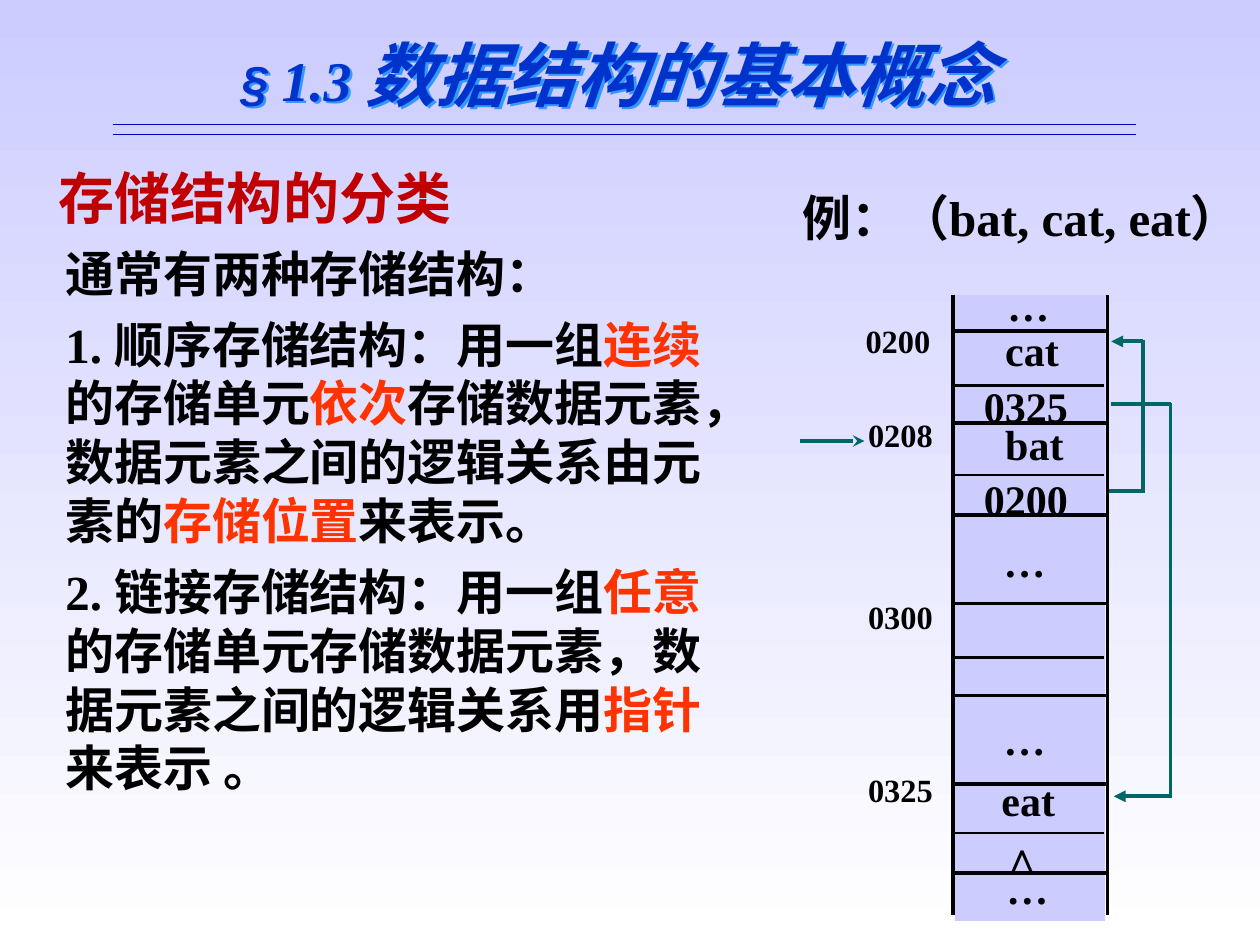
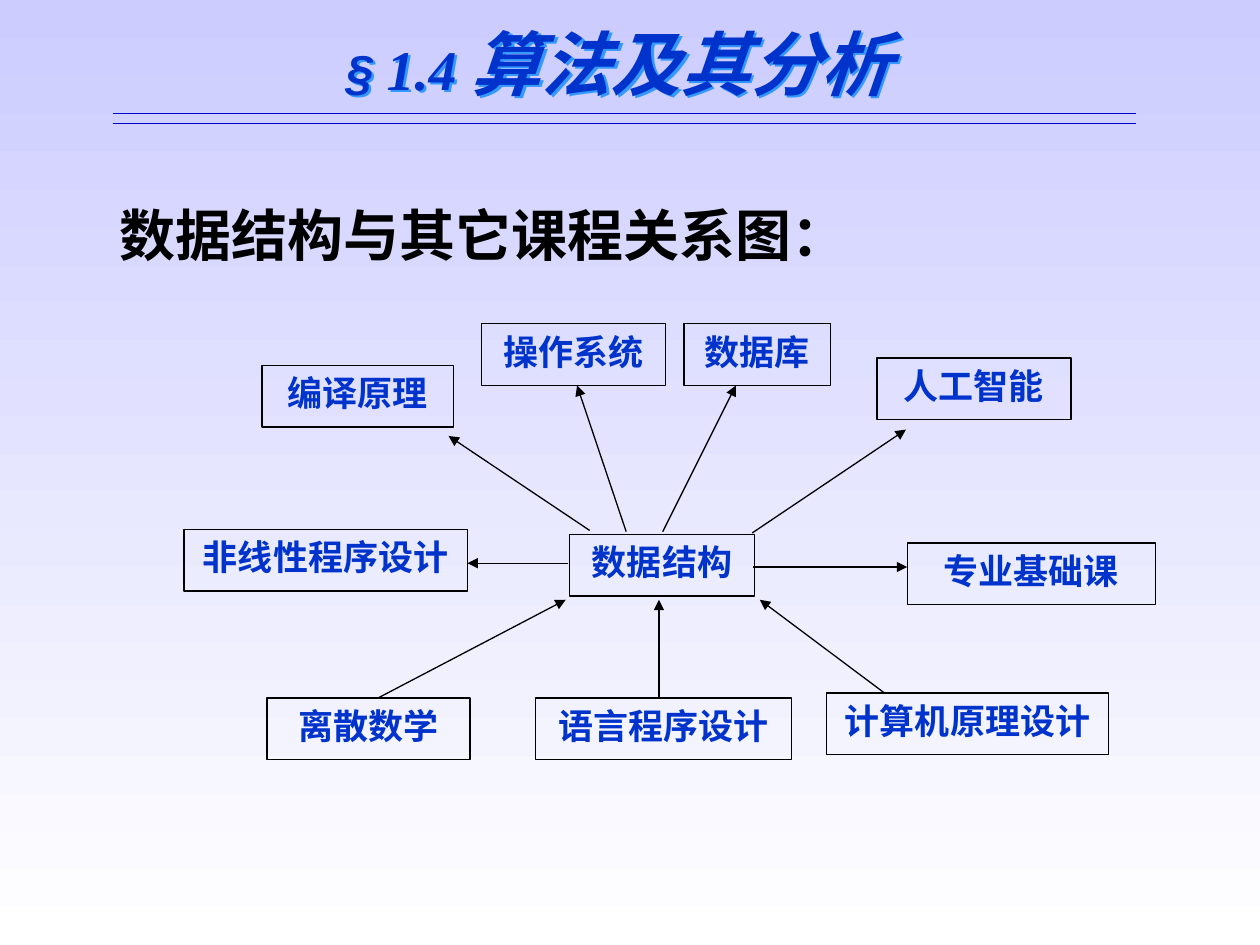
from dataclasses import dataclass
from typing import NamedTuple, Optional

from lxml import etree
from pptx import Presentation
from pptx.dml.color import RGBColor
from pptx.enum.shapes import MSO_CONNECTOR, MSO_SHAPE
from pptx.enum.text import MSO_ANCHOR, MSO_AUTO_SIZE, PP_ALIGN
from pptx.oxml import parse_xml
from pptx.oxml.ns import nsdecls, qn
from pptx.util import Inches, Pt

STRAIGHT, RECT = MSO_CONNECTOR.STRAIGHT, MSO_SHAPE.RECTANGLE
TOP, NO_FIT = MSO_ANCHOR.TOP, MSO_AUTO_SIZE.NONE
LEFT, CENTER, JUSTIFY = PP_ALIGN.LEFT, PP_ALIGN.CENTER, PP_ALIGN.JUSTIFY

COLORS = {
    "bg_top": "CCCCFF", "bg_bottom": "FFFFFF", "title": "0033CC", "shadow": "3399FF",
    "rule": "0000CC", "black": "000000", "heading": "C00000", "accent": "FF3300",
    "pointer": "006666", "memory": "CCCCFF",
}
SERIF, SANS, CJK = "Times New Roman", "Arial", "Noto Sans CJK SC"
CJK_LEADING = 1.2


class Run(NamedTuple):
    text: str
    size: float = 28
    color: str = "black"
    font: str = SERIF
    bold: bool = True
    italic: bool = False


@dataclass
class Para:
    runs: list[Run]
    align: PP_ALIGN = LEFT
    spacing: Optional[float] = None   # a multiple of the line; None means fixed CJK leading
    before: float = 0
    margin: float = 0
    indent: float = 0


class Box(NamedTuple):
    left: float
    top: float
    width: float
    height: float


class Line(NamedTuple):
    x1: float
    y1: float
    x2: float
    y2: float
    color: str = "black"
    width: float = 0.75
    arrow: str = ""


def rgb(name: str) -> RGBColor:
    return RGBColor.from_string(COLORS[name])


# Shared drawing functions
def write(sp, paras: list[Para], inset: float = 1) -> None:
    tf = sp.text_frame
    frame_format = {
        "word_wrap": True, "auto_size": NO_FIT, "vertical_anchor": TOP,
        "margin_left": Inches(0.1 * inset), "margin_right": Inches(0.1 * inset),
        "margin_top": Inches(0.05 * inset), "margin_bottom": Inches(0.05 * inset),
    }
    for name, value in frame_format.items():
        setattr(tf, name, value)
    for i, para in enumerate(paras):
        p = tf.add_paragraph() if i else tf.paragraphs[0]
        leading = Pt(CJK_LEADING * max(run.size for run in para.runs))
        para_format = {"alignment": para.align, "space_before": Pt(para.before),
                       "line_spacing": para.spacing or leading}
        for name, value in para_format.items():
            setattr(p, name, value)
        pPr = p._p.get_or_add_pPr()
        pPr.set("marL", str(Inches(para.margin)))
        pPr.set("indent", str(Inches(para.indent)))
        for run in para.runs:
            r = p.add_run()
            r.text = run.text
            font_format = {"name": run.font, "size": Pt(run.size),
                           "bold": run.bold, "italic": run.italic}
            for name, value in font_format.items():
                setattr(r.font, name, value)
            r.font.color.rgb = rgb(run.color)
            ea = etree.SubElement(r.font._element, qn("a:ea"))
            ea.set("typeface", CJK)


def add_text(slide, box: Box, paras: list[Para], inset: float = 1) -> None:
    write(slide.shapes.add_textbox(*map(Inches, box)), paras, inset)


def add_rect(slide, box: Box, fill: str = "", line: str = ""):
    sp = slide.shapes.add_shape(RECT, *map(Inches, box))
    sp.shadow.inherit = False
    if fill:
        sp.fill.solid()
        sp.fill.fore_color.rgb = rgb(fill)
    else:
        sp.fill.background()
    if line:
        sp.line.color.rgb = rgb(line)
        sp.line.width = Pt(0.75)
    else:
        sp.line.fill.background()
    return sp


def add_line(slide, line: Line) -> None:
    c = slide.shapes.add_connector(STRAIGHT, *map(Inches, line[:4]))
    c.line.color.rgb = rgb(line.color)
    c.line.width = Pt(line.width)
    if line.arrow:
        etree.SubElement(c.line._get_or_add_ln(), qn("a:tailEnd")).set("type", line.arrow)
    etree.SubElement(c._element.spPr, qn("a:effectLst"))


def set_background(prs) -> None:
    fill = prs.slide_master.background.fill
    fill.gradient()
    fill.gradient_angle = 270
    for stop, name, place in zip(fill.gradient_stops, ("bg_top", "bg_bottom"), (0, 1)):
        stop.color.rgb = rgb(name)
        stop.position = place


def add_titled_slide(prs, number: str, title: str, top: float):
    slide = prs.slides.add_slide(prs.slide_layouts[5])
    sp = slide.shapes.title
    place = dict(zip(("left", "top", "width", "height"), Box(1.52, top, 6.77, 0.77)))
    for name, value in place.items():
        setattr(sp, name, Inches(value))
    write(sp, [Para([
        Run("§ ", 28, "title", SANS, italic=True),
        Run(f"{number} ", 32, "title", italic=True),
        Run(title, 40, "title", italic=True),
    ], CENTER)])
    sp._element.spPr.append(parse_xml(
        f'<a:effectLst {nsdecls("a")}><a:outerShdw dist="25400" dir="2700000">'
        f'<a:srgbClr val="{COLORS["shadow"]}"/></a:outerShdw></a:effectLst>'))
    for gap in (0.79, 0.87):
        add_line(slide, Line(0.9, top + gap, 9.02, top + gap, "rule"))
    return slide


# Slide 1: storage structures
def storage_text(slide) -> None:
    def marked(*texts: str) -> Para:
        """Every second piece of text is accented."""
        return Para([Run(t, color="accent" if i % 2 else "black")
                     for i, t in enumerate(texts)], before=7)

    add_text(slide, Box(0.42, 1.88, 5.51, 4.58), [
        Para([Run("通常有两种存储结构：")]),
        marked("1. 顺序存储结构：用一组", "连续", "的存储单元", "依次",
               "存储数据元素，数据元素之间的逻辑关系由元素的", "存储位置", "来表示。"),
        marked("2. 链接存储结构：用一组", "任意",
               "的存储单元存储数据元素，数据元素之间的逻辑关系用", "指针", "来表示 。"),
    ])
    add_text(slide, Box(6.27, 1.44, 3.73, 1.04), [Para([Run("例：（bat, cat, eat）")])])
    add_text(slide, Box(0.37, 1.25, 5.76, 0.64),
             [Para([Run("存储结构的分类", 32, "heading")])])


def memory_diagram(slide) -> None:
    left, right = 7.56, 8.79
    add_rect(slide, Box(7.58, 2.34, 1.19, 4.97), fill="memory")
    for x in (left, right):
        add_line(slide, Line(x, 2.34, x, 7.26, width=2.25))

    # Addresses, gaps and cell borders
    for text, x, y in (("0200", 6.87, 2.63), ("0208", 6.89, 3.38),
                       ("0300", 6.89, 4.82), ("0325", 6.89, 6.2)):
        add_text(slide, Box(x, y, 0.6, 0.23),
                 [Para([Run(text, 18.5)], JUSTIFY, 0.7)], inset=0)
    for x, y in ((7.91, 2.13), (7.88, 4.16), (7.88, 5.57), (7.9, 6.76)):
        add_text(slide, Box(x, y, 0.56, 0.54),
                 [Para([Run("…", 24, italic=True)], spacing=1.1)])
    for y in (2.63, 3.36, 4.09, 4.79, 5.52, 6.22, 6.93):
        add_line(slide, Line(7.58, y, right, y, width=2.25))
    for y in (3.06, 3.77, 5.22, 6.61):
        add_line(slide, Line(left, y, 8.76, y, width=1.5))

    # Pointers: the head arrow and the two links
    add_line(slide, Line(6.35, 3.5, 6.86, 3.5, "pointer", 2.25, "stealth"))
    for start, y1, bend, y2, end in ((8.8, 3.9, 9.07, 2.71, 8.82),
                                     (8.82, 3.21, 9.29, 6.32, 8.84)):
        overlap = 0.01 if y2 > y1 else -0.01
        for points, arrow in (((start, y1, bend, y1), ""),
                              ((bend, y1 - overlap, bend, y2 + overlap), ""),
                              ((bend, y2, end, y2), "triangle")):
            add_line(slide, Line(*points, "pointer", 2.25, arrow))

    # Nodes: data above, next address below
    for data, link, x, y in (("bat", "0200", 7.71, 3.23), ("cat", "0325", 7.71, 2.49),
                             ("eat", "∧", 7.68, 6.06)):
        add_text(slide, Box(x, y, 0.94, 0.98), [
            Para([Run(text, 24)], spacing=1.1, margin=0 if text.isdigit() else 0.17)
            for text in (data, link)])


# Slide 2: related courses
def course_map(slide) -> None:
    add_text(slide, Box(0.75, 1.54, 6, 0.68), [
        Para([Run("数据结构与其它课程关系图：", 32)], margin=0.38, indent=-0.28)])
    courses = {
        "数据结构": (4.52, 4.24, 1.47), "数据库": (5.43, 2.57, 1.16),
        "人工智能": (6.96, 2.84, 1.54), "专业基础课": (7.2, 4.31, 1.97),
        "操作系统": (3.82, 2.57, 1.46), "编译原理": (2.08, 2.9, 1.52),
        "非线性程序设计": (1.46, 4.2, 2.25), "离散数学": (2.12, 5.54, 1.61),
        "语言程序设计": (4.25, 5.54, 2.03), "计算机原理设计": (6.56, 5.5, 2.24),
    }
    for name, place in courses.items():
        sp = add_rect(slide, Box(*place, 0.49), line="black")
        write(sp, [Para([Run(name, 20, "title")], CENTER)])
    arrows = (
        (5.26, 4.22, 5.84, 3.06), (5.97, 4.23, 7.19, 3.41), (5.98, 4.5, 7.2, 4.5),
        (4.51, 4.47, 3.71, 4.47), (4.68, 4.21, 3.56, 3.46), (4.97, 4.22, 4.58, 3.06),
        (5.23, 5.54, 5.23, 4.76), (7.02, 5.5, 6.03, 4.76), (3, 5.54, 4.49, 4.76),
    )
    for points in arrows:
        add_line(slide, Line(*points, arrow="triangle"))


def main() -> None:
    prs = Presentation()
    prs.slide_width, prs.slide_height = Inches(10), Inches(7.5)
    set_background(prs)
    storage = add_titled_slide(prs, "1.3", "数据结构的基本概念", 0.2)
    memory_diagram(storage)
    storage_text(storage)
    course_map(add_titled_slide(prs, "1.4", "算法及其分析", 0.11))
    prs.save("out.pptx")


if __name__ == "__main__":
    main()
